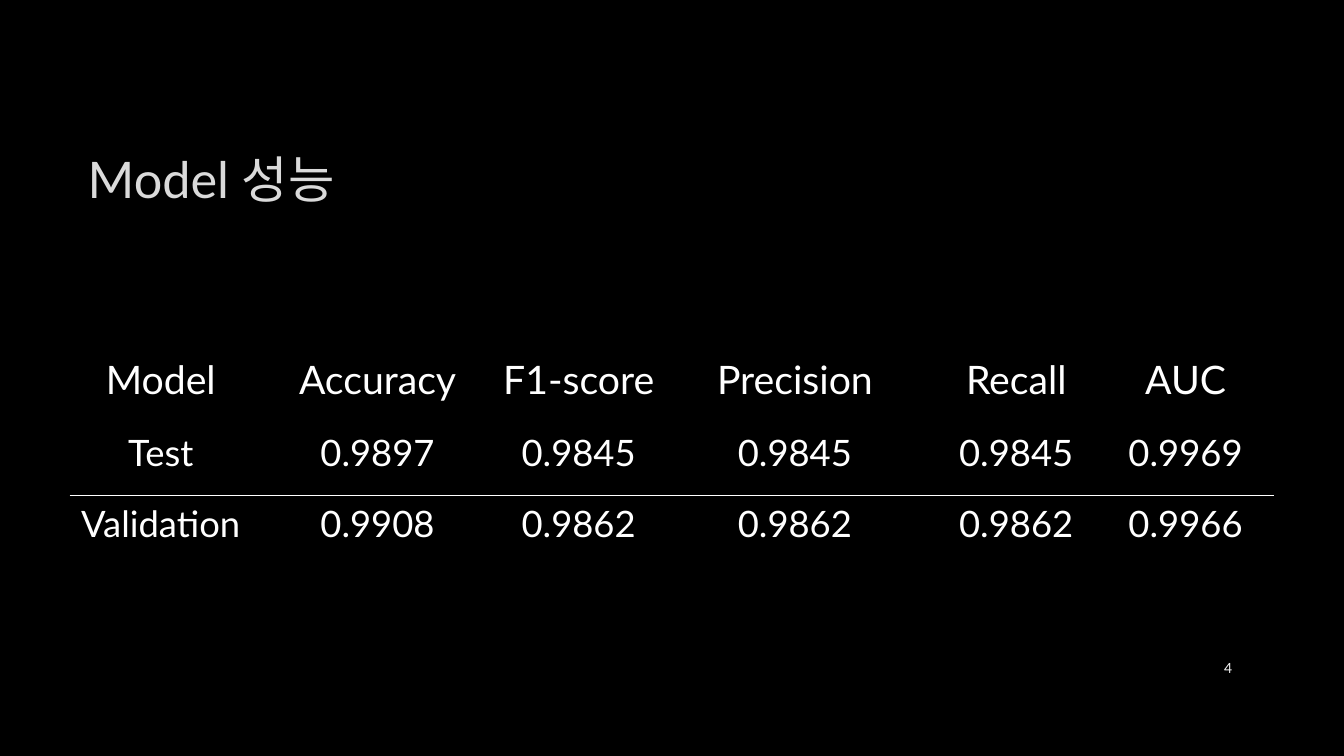
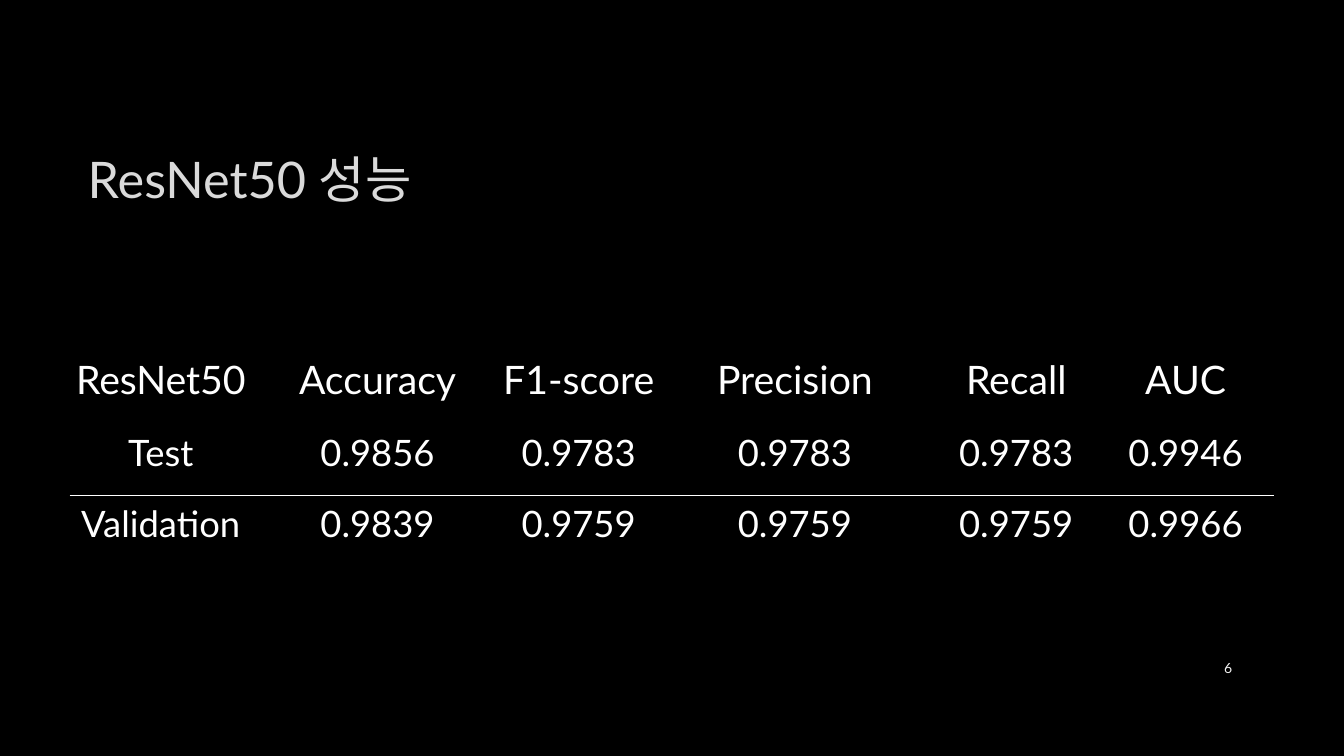
from lxml import etree
from pptx import Presentation
from pptx.dml.color import RGBColor
from pptx.enum.text import MSO_ANCHOR as Anchor, PP_ALIGN as Align
from pptx.oxml import parse_xml
from pptx.oxml.ns import nsdecls, qn
from pptx.util import Inches, Pt

BLACK, WHITE, TITLE_GREY, NUMBER_GREY, OUTLINE_GREY = (
    "000000", "FFFFFF", "DADADA", "F2F2F2", "404040")
FONT = "Lato"
NO_STYLE = "{2D5ABB26-0587-4C30-8999-92F81FD0307C}"
COLUMN_WIDTHS = [2.02, 2.28, 1.71, 2.58, 1.81, 1.55]
ROW_HEIGHTS = [1.18, 0.66, 0.66]
METRICS = ["Accuracy", "F1-score", "Precision", "Recall", "AUC"]
SLIDES = [
    {"model": "Model", "number": 4,
     "Test": ["0.9897", "0.9845", "0.9845", "0.9845", "0.9969"],
     "Validation": ["0.9908", "0.9862", "0.9862", "0.9862", "0.9966"]},
    {"model": "ResNet50", "number": 6,
     "Test": ["0.9856", "0.9783", "0.9783", "0.9783", "0.9946"],
     "Validation": ["0.9839", "0.9759", "0.9759", "0.9759", "0.9966"]},
]


def write(frame, text, size, color, align):
    """Fill a text frame with one formatted run and return the run."""
    para = frame.paragraphs[0]
    para.alignment = align
    span = para.add_run()
    span.text = text
    for name, value in {"name": FONT, "size": Pt(size)}.items():
        setattr(span.font, name, value)
    span.font.color.rgb = RGBColor.from_string(color)
    return span


def line_xml(tag, color, opacity=100):
    """Return a 0.75 pt solid line element with the given tag."""
    return parse_xml(
        f'<a:{tag} {nsdecls("a")} w="{Pt(0.75)}"><a:solidFill>'
        f'<a:srgbClr val="{color}"><a:alpha val="{opacity * 1000}"/></a:srgbClr>'
        f'</a:solidFill><a:prstDash val="solid"/></a:{tag}>')


deck = Presentation()
deck.slide_width, deck.slide_height = Inches(13.33), Inches(7.5)
background = deck.slide_master.background.fill
background.solid()
background.fore_color.rgb = RGBColor.from_string(BLACK)
layout = deck.slide_layouts[5]

for content in SLIDES:
    page = deck.slides.add_slide(layout)

    title = page.shapes.title
    title.left, title.top = Inches(0.77), Inches(0.7)
    title.width, title.height = Inches(4.32), Inches(2.14)
    title.text_frame.vertical_anchor = Anchor.MIDDLE
    span = write(title.text_frame, f"{content['model']} 성능", 36, TITLE_GREY, Align.LEFT)
    span.font._element.insert(0, line_xml("ln", OUTLINE_GREY, opacity=10))

    rows = [[content["model"], *METRICS]]
    rows += [[name, *content[name]] for name in ("Test", "Validation")]
    table = page.shapes.add_table(
        len(rows), len(COLUMN_WIDTHS), Inches(0.69), Inches(3.03),
        Inches(sum(COLUMN_WIDTHS)), Inches(sum(ROW_HEIGHTS))).table
    table.first_row = table.horz_banding = False
    table._tbl.tblPr.find(qn("a:tableStyleId")).text = NO_STYLE
    for column, width in zip(table.columns, COLUMN_WIDTHS):
        column.width = Inches(width)
    for row, height in zip(table.rows, ROW_HEIGHTS):
        row.height = Inches(height)

    for row_index, values in enumerate(rows):
        header = row_index == 0
        for column_index, value in enumerate(values):
            cell = table.cell(row_index, column_index)
            margins = {"left": 0, "top": 0.04 if header else 0.06,
                       "right": 0.21, "bottom": 0.21}
            for side, margin in margins.items():
                setattr(cell, f"margin_{side}", Inches(margin))
            cell.vertical_anchor = Anchor.BOTTOM if header else Anchor.MIDDLE
            write(cell.text_frame, value, 28 if header else 26, WHITE, Align.CENTER)
            cell.fill.solid()
            cell.fill.fore_color.rgb = RGBColor.from_string(BLACK)
            if not header:
                border = "lnB" if row_index == 1 else "lnT"
                cell._tc.get_or_add_tcPr().insert(0, line_xml(border, WHITE))

    number = page.shapes.add_textbox(Inches(11.5), Inches(6.43), Inches(0.82), Inches(0.4))
    number.text_frame.word_wrap = True
    number.text_frame.vertical_anchor = Anchor.MIDDLE
    write(number.text_frame, str(content["number"]), 10, NUMBER_GREY, Align.RIGHT)

deck.save("out.pptx")
